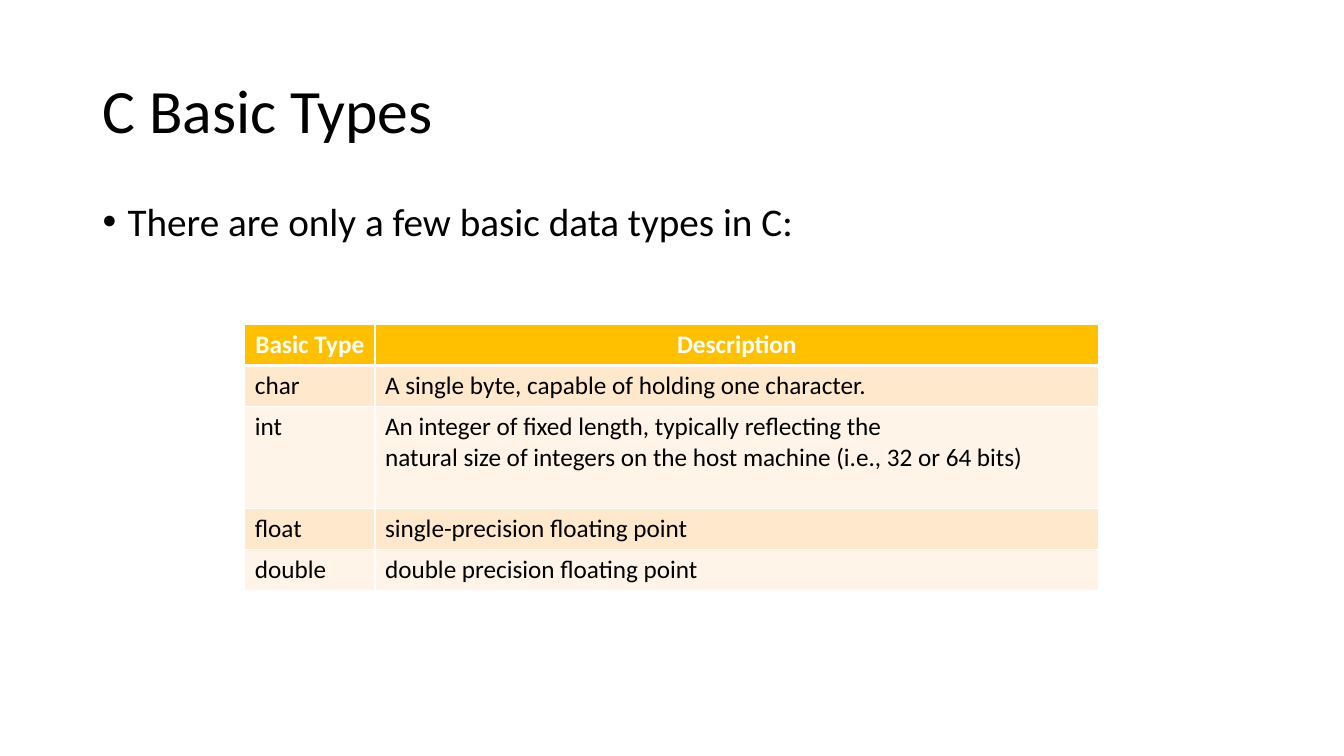
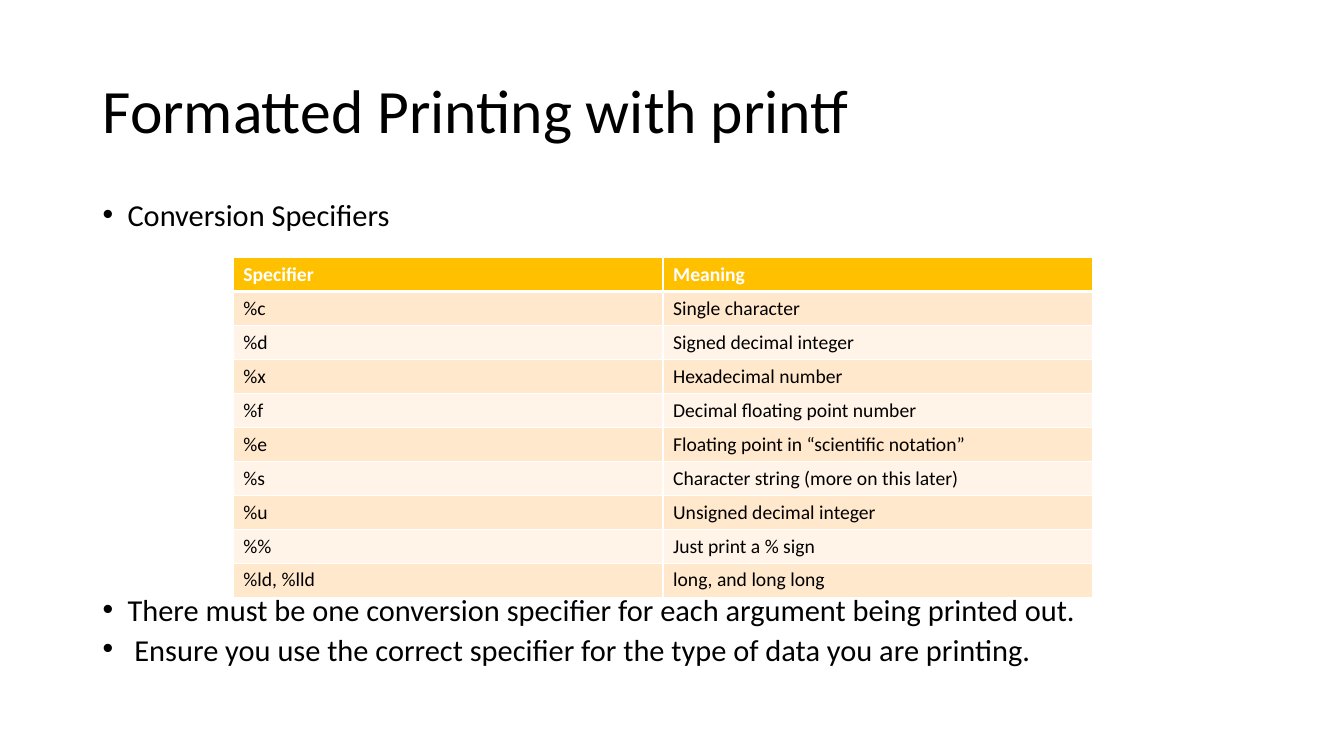
from lxml.etree import SubElement
from pptx import Presentation
from pptx.dml.color import RGBColor
from pptx.enum.text import MSO_ANCHOR, MSO_AUTO_SIZE, PP_ALIGN
from pptx.oxml.ns import qn
from pptx.util import Cm, Pt

FONT = "Calibri"
BLACK, WHITE = "000000", "FFFFFF"
HEADER_FILL = "FFC000"
BAND_FILLS = ("FFE8CC", "FFF4E7")
MARGIN, CONTENT_WIDTH = Cm(2.33), Cm(29.21)
BULLET_INDENT = Cm(0.63)

BASIC_TYPES = [
    ("Basic Type", "Description"),
    ("char", "A single byte, capable of holding one character."),
    ("int", "An integer of fixed length, typically reflecting the\n"
            "natural size of integers on the host machine (i.e., 32 or 64 bits)"),
    ("float", "single-precision floating point"),
    ("double", "double precision floating point"),
]
SPECIFIERS = [
    ("Specifier", "Meaning"),
    ("%c", "Single character"),
    ("%d", "Signed decimal integer"),
    ("%x", "Hexadecimal number"),
    ("%f", "Decimal floating point number"),
    ("%e", "Floating point in “scientific notation”"),
    ("%s", "Character string (more on this later)"),
    ("%u", "Unsigned decimal integer"),
    ("%%", "Just print a % sign"),
    ("%ld, %lld", "long, and long long"),
]


def color(value):
    return RGBColor.from_string(value)


def style_font(para, size, hex_color=BLACK, bold=False):
    para.font.name = FONT
    para.font.size = Pt(size)
    para.font.bold = bold
    para.font.color.rgb = color(hex_color)


def place(box, top, height):
    """Span the content width and keep the text at its set size."""
    box.left, box.top, box.width, box.height = MARGIN, top, CONTENT_WIDTH, height
    box.text_frame.word_wrap = True
    box.text_frame.auto_size = MSO_AUTO_SIZE.NONE


def add_titled_slide(deck, title):
    page = deck.slides.add_slide(deck.slide_layouts.get_by_name("Title and Content"))
    box = page.shapes.title
    place(box, Cm(1.01), Cm(3.68))
    box.text_frame.vertical_anchor = MSO_ANCHOR.MIDDLE
    box.text_frame.text = title
    para = box.text_frame.paragraphs[0]
    para.alignment = PP_ALIGN.LEFT
    para.line_spacing = 0.9
    style_font(para, 44)
    return page


def fill_bullets(page, bullets, top, size, line_spacing):
    """Write bullets given as (text, points of space before) pairs."""
    box = page.placeholders[1]
    place(box, top, Cm(12.09))
    frame = box.text_frame
    frame.text = "\n".join(text for text, _ in bullets)
    for para, (_, space_before) in zip(frame.paragraphs, bullets):
        properties = para._p.get_or_add_pPr()
        properties.set("marL", str(BULLET_INDENT))
        properties.set("indent", str(-BULLET_INDENT))
        para.line_spacing = line_spacing
        para.space_before = Pt(space_before)
        style_font(para, size)


def set_borders(cell, top, bottom):
    """Draw white borders: 1 pt at the sides, the given points above and below."""
    properties = cell._tc.get_or_add_tcPr()
    for tag, points in (("a:lnL", 1), ("a:lnR", 1), ("a:lnT", top), ("a:lnB", bottom)):
        line = SubElement(properties, qn(tag), w=str(Pt(points)))
        fill = SubElement(line, qn("a:solidFill"))
        SubElement(fill, qn("a:srgbClr"), val=WHITE)


def format_cell(cell, row_index, size, header_alignment):
    is_header = row_index == 0
    set_borders(cell, top=3 if row_index == 1 else 1, bottom=3 if is_header else 1)
    cell.fill.solid()
    cell.fill.fore_color.rgb = color(HEADER_FILL if is_header else BAND_FILLS[(row_index - 1) % 2])
    for para in cell.text_frame.paragraphs:
        para.alignment = header_alignment if is_header else PP_ALIGN.LEFT
        style_font(para, size, WHITE if is_header else BLACK, is_header)


def add_banded_table(page, rows, left, top, widths, heights, size, header_alignment=PP_ALIGN.LEFT):
    table = page.shapes.add_table(len(rows), len(widths), left, top, sum(widths), sum(heights)).table
    for column, width in zip(table.columns, widths):
        column.width = width
    for row_index, (texts, height) in enumerate(zip(rows, heights)):
        table.rows[row_index].height = height
        for column_index, text in enumerate(texts):
            cell = table.cell(row_index, column_index)
            cell.text = text
            format_cell(cell, row_index, size, header_alignment)


def add_basic_types(deck):
    page = add_titled_slide(deck, "C Basic Types")
    fill_bullets(page, [("There are only a few basic data types in C:", 0)], Cm(4.97), 28, 0.9)
    heights = [Cm(2.58 if "\n" in description else 1.03) for _, description in BASIC_TYPES]
    add_banded_table(page, BASIC_TYPES, Cm(6.17), Cm(8.18), [Cm(3.28), Cm(18.24)],
                     heights, 18, PP_ALIGN.CENTER)


def add_conversion_specifiers(deck):
    page = add_titled_slide(deck, "Formatted Printing with printf")
    bullets = [
        ("Conversion Specifiers", 0),
        ("There must be one conversion specifier for each argument being printed out.", 264),
        (" Ensure you use the correct specifier for the type of data you are printing.", 10),
    ]
    fill_bullets(page, bullets, Cm(5.07), 21.7, 0.7)
    add_banded_table(page, SPECIFIERS, Cm(5.88), Cm(6.49), [Cm(10.83)] * 2,
                     [Cm(0.85)] * len(SPECIFIERS), 14)


def main():
    deck = Presentation()
    deck.slide_width, deck.slide_height = Cm(33.87), Cm(19.05)
    add_basic_types(deck)
    add_conversion_specifiers(deck)
    deck.save("out.pptx")


if __name__ == "__main__":
    main()
